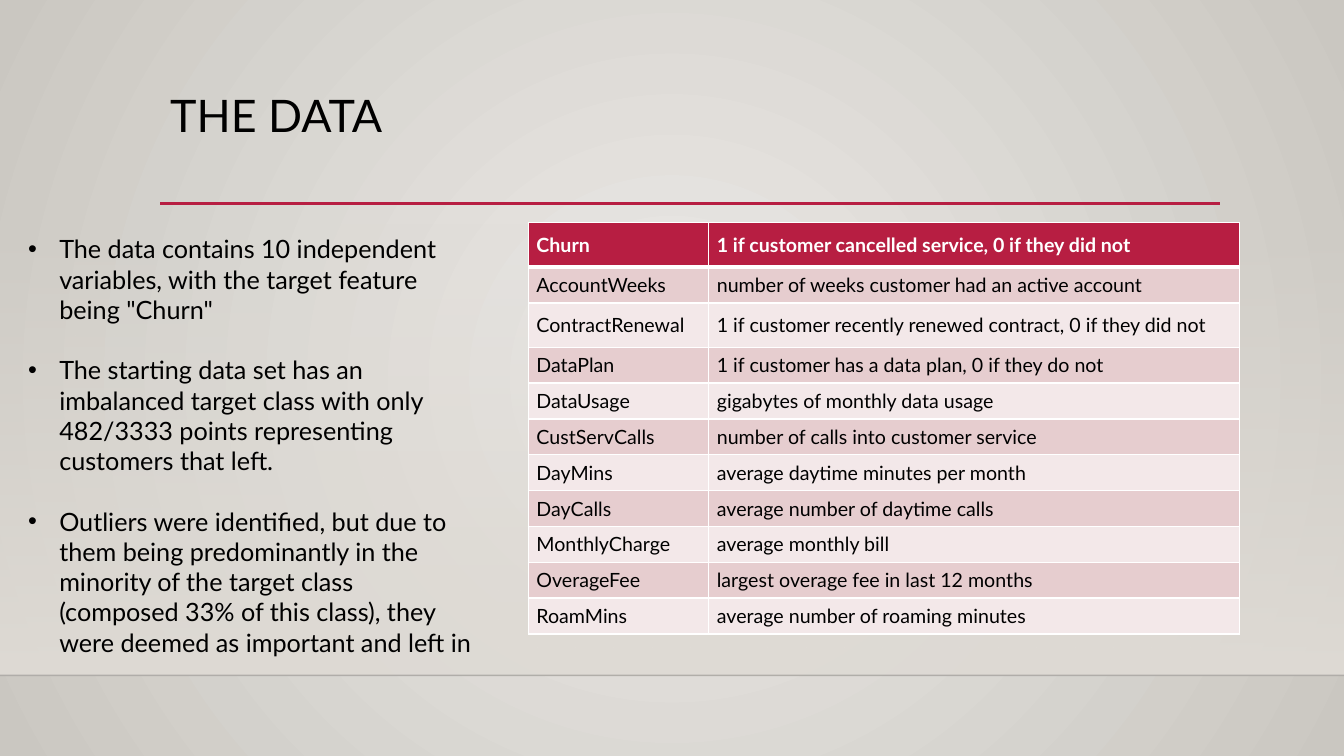
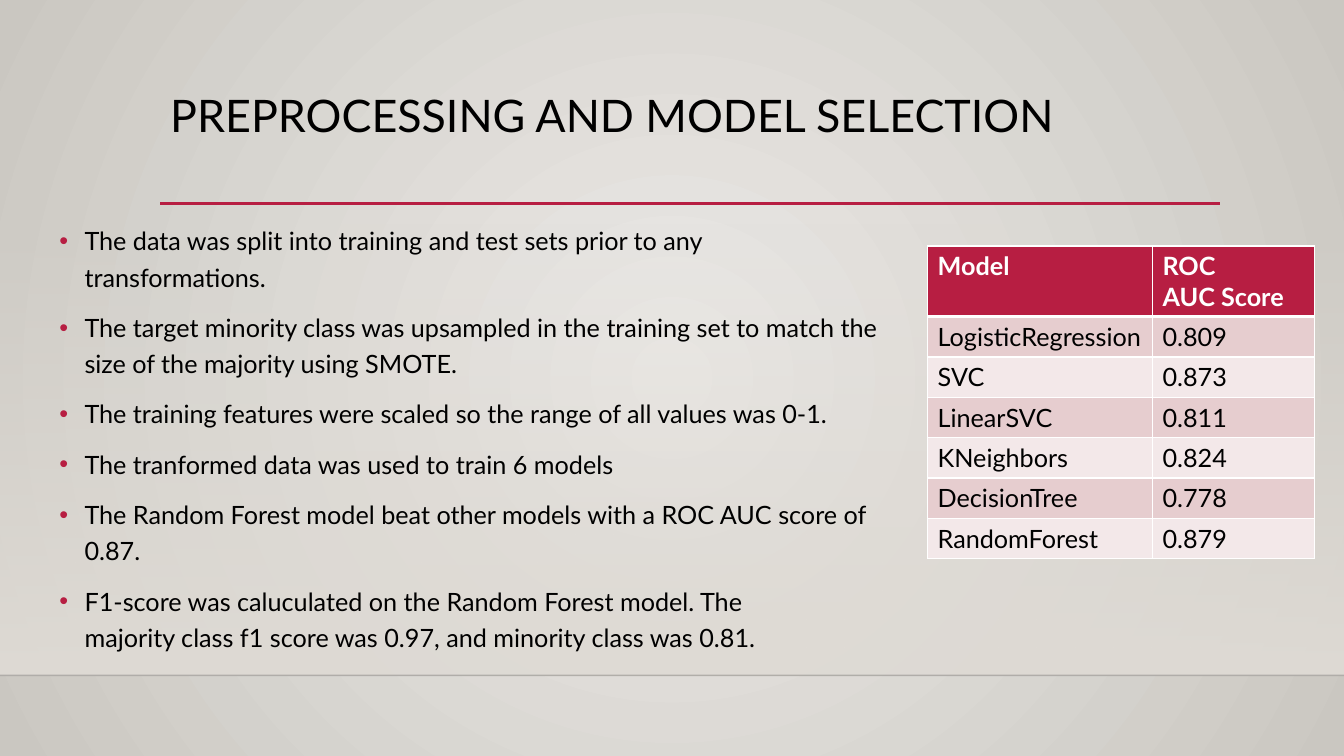
from lxml.etree import SubElement
from pptx import Presentation
from pptx.dml.color import RGBColor
from pptx.enum.shapes import MSO_CONNECTOR, MSO_SHAPE
from pptx.enum.text import MSO_ANCHOR
from pptx.oxml.ns import qn
from pptx.util import Inches, Pt

HUES = {
    "ink": "000000", "white": "FFFFFF", "red": "B71E42",
    "rose": "E6CDCF", "blush": "F3E8E9", "floor": "DFDBD5",
    "glow": "ECEAE7", "edge": "CAC7C1", "rule": "000001",
}
WIDE, HIGH = 13.33, 7.5


def rgb(hue):
    return RGBColor.from_string(HUES[hue])


def add(node, tag, **attrs):
    return SubElement(node, qn(tag), attrs)


class Deck:
    """Holds the shared style and the current slide."""

    def __init__(self):
        self.show = Presentation()
        self.show.slide_width = Inches(WIDE)
        self.show.slide_height = Inches(HIGH)
        self.slide = None

    def start(self, title):
        self.slide = self.show.slides.add_slide(self.show.slide_layouts[6])
        self.backdrop()
        self.floor()
        self.line(0, 6.7, WIDE, "rule", 1, 20)
        self.line(1.59, 2.02, 12.1, "red", 2.5)
        frame = self.box(1.59, 0.88, 10.5, 1.15)
        para = frame.paragraphs[0]
        para.text = title
        para.line_spacing = 0.9
        self.style(para, 32)

    def blend(self, fill, first, last):
        fill.gradient()
        for stop, hue in zip(fill.gradient_stops, (first, last)):
            stop.color.rgb = rgb(hue)

    def backdrop(self):
        fill = self.slide.background.fill
        self.blend(fill, "glow", "edge")
        grad = self.slide.element.find(".//" + qn("a:gradFill"))
        grad.remove(grad.find(qn("a:lin")))
        ring = add(grad, "a:path", path="circle")
        add(ring, "a:fillToRect", l="50000", t="50000", r="50000", b="50000")

    def floor(self):
        band = self.slide.shapes.add_shape(
            MSO_SHAPE.RECTANGLE, 0, Inches(2.21), Inches(WIDE), Inches(4.49))
        band.shadow.inherit = False
        band.line.fill.background()
        self.blend(band.fill, "floor", "floor")
        band.fill.gradient_angle = 270
        top = band.element.spPr.find(".//" + qn("a:srgbClr"))
        add(top, "a:alpha", val="0")

    def line(self, left, top, right, hue, width, alpha=100):
        rule = self.slide.shapes.add_connector(
            MSO_CONNECTOR.STRAIGHT, Inches(left), Inches(top),
            Inches(right), Inches(top))
        rule.line.color.rgb = rgb(hue)
        rule.line.width = Pt(width)
        props = rule.element.spPr
        if alpha < 100:
            ink = props.find(".//" + qn("a:srgbClr"))
            add(ink, "a:alpha", val=str(alpha * 1000))
        add(props, "a:effectLst")

    def box(self, left, top, width, height):
        shape = self.slide.shapes.add_textbox(
            Inches(left), Inches(top), Inches(width), Inches(height))
        shape.text_frame.word_wrap = True
        return shape.text_frame

    def style(self, para, size, hue="ink", bold=False):
        for font in (para.font, *(run.font for run in para.runs)):
            font.name = "Lato"
            font.size = Pt(size)
            font.bold = bold
            font.color.rgb = rgb(hue)

    def bullets(self, area, items, indent, hue, lead=1, before=0, after=0):
        frame = self.box(*area)
        for num, item in enumerate(items):
            para = frame.add_paragraph() if num else frame.paragraphs[0]
            para.text = item
            props = para._p.get_or_add_pPr()
            props.set("marL", str(Inches(indent)))
            props.set("indent", str(-Inches(indent)))
            mark = add(props, "a:buClr")
            add(mark, "a:srgbClr", val=HUES[hue])
            add(props, "a:buFont", typeface="Arial")
            add(props, "a:buChar", char="•")
            para.line_spacing = lead
            para.space_before = Pt(before)
            para.space_after = Pt(after)
            self.style(para, 18)

    def border(self, cell, row):
        props = cell._tc.get_or_add_tcPr()
        heavy = {0: "B", 1: "T"}.get(row)
        for side in "LRTB":
            width = Pt(3 if side == heavy else 1)
            edge = add(props, "a:ln" + side, w=str(width))
            paint = add(edge, "a:solidFill")
            add(paint, "a:srgbClr", val=HUES["white"])

    def table(self, area, rows, cols, tall, size, inset, anchor):
        left, top, width, height = area
        grid = self.slide.shapes.add_table(
            len(rows), len(cols), Inches(left), Inches(top),
            Inches(width), Inches(height)).table
        for col, span in zip(grid.columns, cols):
            col.width = Inches(span)
        rest = (height - sum(tall.values())) / (len(rows) - len(tall))
        for num, row in enumerate(rows):
            grid.rows[num].height = Inches(tall.get(num, rest))
            head = num == 0
            shade = "red" if head else "rose" if num % 2 else "blush"
            for col, text in enumerate(row):
                cell = grid.cell(num, col)
                self.border(cell, num)
                cell.fill.solid()
                cell.fill.fore_color.rgb = rgb(shade)
                cell.margin_left = cell.margin_right = Inches(inset)
                cell.margin_top = cell.margin_bottom = Inches(inset / 2)
                cell.vertical_anchor = anchor
                cell.text = text
                self.style(cell.text_frame.paragraphs[0], size,
                           "white" if head else "ink", head)


deck = Deck()

deck.start("THE DATA")
deck.bullets((0.18, 2.27, 4.67, 4.04), [
    'The data contains 10 independent variables, with the target feature '
    'being "Churn"',
    "The starting data set has an imbalanced target class with only "
    "482/3333 points representing customers that left.",
    "Outliers were identified, but due to them being predominantly in the "
    "minority of the target class (composed 33% of this class), they were "
    "deemed as important and left in",
], 0.31, "ink", after=21.6)
deck.table((5.24, 2.21, 7.05, 4.08), [
    ("Churn", "1 if customer cancelled service, 0 if they did not"),
    ("AccountWeeks", "number of weeks customer had an active account"),
    ("ContractRenewal",
     "1 if customer recently renewed contract, 0 if they did not"),
    ("DataPlan", "1 if customer has a data plan, 0 if they do not"),
    ("DataUsage", "gigabytes of monthly data usage"),
    ("CustServCalls", "number of calls into customer service"),
    ("DayMins", "average daytime minutes per month"),
    ("DayCalls", "average number of daytime calls"),
    ("MonthlyCharge", "average monthly bill"),
    ("OverageFee", "largest overage fee in last 12 months"),
    ("RoamMins", "average number of roaming minutes"),
], (1.79, 5.26), {0: 0.44, 2: 0.44}, 14, 0.08, MSO_ANCHOR.MIDDLE)

deck.start("PREPROCESSING AND MODEL SELECTION")
deck.bullets((0.49, 2.13, 8.42, 4.17), [
    "The data was split into training and test sets prior to any "
    "transformations.",
    "The target minority class was upsampled in the training set to match "
    "the size of the majority using SMOTE.",
    "The training features were scaled so the range of all values was 0-1.",
    "The tranformed data was used to train 6 models",
    "The Random Forest model beat other models with a ROC AUC score of 0.87.",
    "F1-score was caluculated on the Random Forest model. The "
    "majority\u00a0class f1 score was 0.97, and minority class was 0.81.",
], 0.25, "red", lead=1.2, before=10)
deck.table((9.2, 2.44, 3.84, 3.1), [
    ("Model", "ROC AUC\u00a0Score"),
    ("LogisticRegression", "0.809"),
    ("SVC", "0.873"),
    ("LinearSVC", "0.811"),
    ("KNeighbors", "0.824"),
    ("DecisionTree", "0.778"),
    ("RandomForest", "0.879"),
], (2.23, 1.61), {0: 0.7}, 18, 0.1, MSO_ANCHOR.TOP)

deck.show.save("out.pptx")
